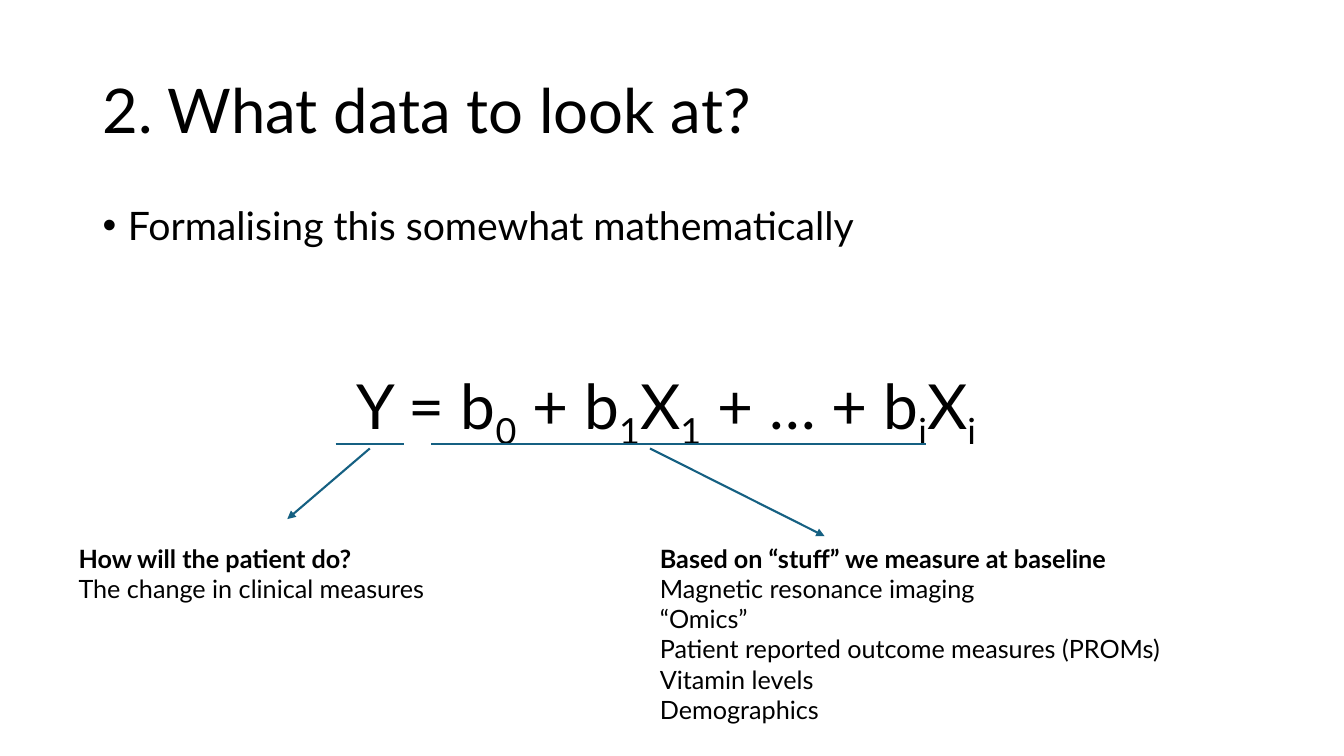
from dataclasses import dataclass

from lxml import etree
from pptx import Presentation
from pptx import util as u
from pptx.dml.color import RGBColor
from pptx.enum import shapes, text
from pptx.oxml.ns import qn

HUES = {"ink": "000000", "line": "156082", "back": "FFFFFF"}
FACE = "Lato"
SUB = "-25000"


@dataclass
class Note:
    left: float
    head: str
    rows: list[str]
    high: float


@dataclass
class Line:
    start: tuple[float, float]
    end: tuple[float, float]
    arrow: bool = False


NOTES = [
    Note(16.38, "Based on “stuff” we measure at baseline",
         ["Magnetic resonance imaging", "“Omics”",
          "Patient reported outcome measures (PROMs)",
          "Vitamin levels", "Demographics"], 4.88),
    Note(1.73, "How will the patient do?",
         ["The change in clinical measures"], 1.8),
]
LINES = [
    Line((9.32, 11.3), (7.24, 13.08), True),
    Line((8.46, 11.2), (10.19, 11.2)),
    Line((10.87, 11.2), (23.34, 11.2)),
    Line((16.38, 11.3), (20.78, 13.51), True),
]
# Plain and lowered pieces take turns
TERMS = ["Y = b", "0", " + b", "1", "X", "1", " + … + b", "i", "X", "i"]


def style(item, form: dict) -> None:
    for key, val in form.items():
        setattr(item, key, val)


def place(shape, left: float, top: float, wide: float, high: float) -> None:
    box = {"left": left, "top": top, "width": wide, "height": high}
    style(shape, {key: u.Cm(val) for key, val in box.items()})


def write(para, words: str, size: float, bold: bool = False):
    run = para.add_run()
    run.text = words
    style(run.font, {"name": FACE, "size": u.Pt(size), "bold": bold})
    run.font.color.rgb = RGBColor.from_string(HUES["ink"])
    return run


def add_box(slide, left: float, top: float, wide: float, high: float):
    box = slide.shapes.add_textbox(0, 0, 0, 0)
    place(box, left, top, wide, high)
    box.text_frame.word_wrap = True
    return box.text_frame


def add_note(slide, note: Note) -> None:
    frame = add_box(slide, note.left, 13.56, 16.94, note.high)
    frame.auto_size = text.MSO_AUTO_SIZE.SHAPE_TO_FIT_TEXT
    write(frame.paragraphs[0], note.head, 18, True)
    for row in note.rows:
        write(frame.add_paragraph(), row, 18)


def add_line(slide, line: Line) -> None:
    ends = [u.Cm(val) for val in (*line.start, *line.end)]
    link = slide.shapes.add_connector(shapes.MSO_CONNECTOR.STRAIGHT, *ends)
    link.line.width = u.Pt(1.5)
    link.line.color.rgb = RGBColor.from_string(HUES["line"])
    if line.arrow:
        tip = etree.SubElement(link.line._get_or_add_ln(), qn("a:tailEnd"))
        tip.set("type", "triangle")
    etree.SubElement(link._element.spPr, qn("a:effectLst"))


def main() -> None:
    deck = Presentation()
    style(deck, {"slide_width": u.Cm(33.87), "slide_height": u.Cm(19.05)})
    slide = deck.slides.add_slide(deck.slide_layouts[1])
    fill = slide.background.fill
    fill.solid()
    fill.fore_color.rgb = RGBColor.from_string(HUES["back"])
    flat = {"line_spacing": 0.9, "space_before": u.Pt(0),
            "alignment": text.PP_ALIGN.LEFT}

    # Title
    title = slide.shapes.title
    place(title, 2.33, 1.01, 29.21, 3.68)
    style(title.text_frame, {"vertical_anchor": text.MSO_ANCHOR.MIDDLE,
                             "auto_size": text.MSO_AUTO_SIZE.NONE})
    para = title.text_frame.paragraphs[0]
    style(para, flat)
    write(para, "2. What data to look at?", 44)

    # Bullet list
    body = slide.placeholders[1]
    place(body, 2.33, 5.07, 29.21, 1.88)
    body.text_frame.auto_size = text.MSO_AUTO_SIZE.NONE
    para = body.text_frame.paragraphs[0]
    props = para._p.get_or_add_pPr()
    props.set("marL", str(u.Cm(0.64)))
    props.set("indent", str(u.Cm(-0.64)))
    etree.SubElement(props, qn("a:buChar")).set("char", "•")
    style(para, flat)
    write(para, "Formalising this somewhat mathematically", 28)

    # Notes below the formula
    for note in NOTES:
        add_note(slide, note)

    # Formula
    para = add_box(slide, 8.74, 9.32, 29.21 - 4.1, 1.88).paragraphs[0]
    style(para, flat | {"line_spacing": 0.8})
    for spot, term in enumerate(TERMS):
        run = write(para, term, 44.4)
        if spot % 2:
            run._r.get_or_add_rPr().set("baseline", SUB)

    # Underlines and arrows
    for line in LINES:
        add_line(slide, line)

    deck.save("out.pptx")


if __name__ == "__main__":
    main()
